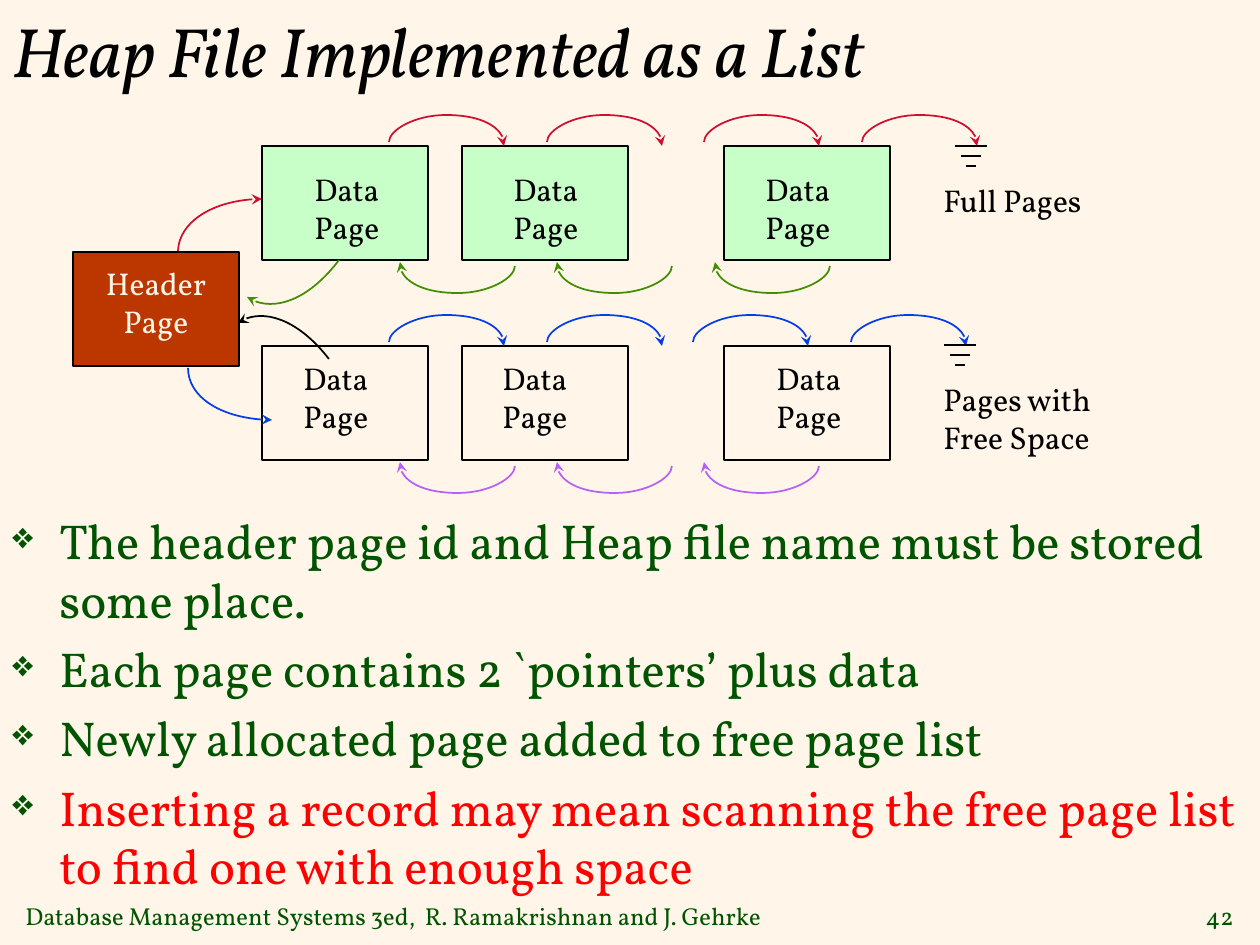
from dataclasses import dataclass

import pptx
import pptx.dml.color
import pptx.enum.shapes
import pptx.enum.text
import pptx.oxml
import pptx.oxml.ns
import pptx.util

PX = 914400 / 126  # EMU per px
FONT = "Vollkorn"
CREAM, BLACK, DARK_GREEN, RED = "FFF6E9", "000000", "005400", "FF0000"
CRIMSON, LEAF, BLUE, VIOLET = "CF0E30", "438E00", "063DE8", "B760F9"
MINT, RUST = "C8FEC8", "BC3700"
LEFT, CENTER, RIGHT = (getattr(pptx.enum.text.PP_ALIGN, name) for name in ("LEFT", "CENTER", "RIGHT"))
TOP, MIDDLE = pptx.enum.text.MSO_ANCHOR.TOP, pptx.enum.text.MSO_ANCHOR.MIDDLE

PAGE_W, PAGE_H = 166, 114
ARC_W, ARC_H = 115, 31
# Start, then three control points for each curve
ARC = [(0, 27), (0, 15), (26, 0), (57, 0), (89, 0), (115, 13), (115, 28),
       (115, 29), (115, 30), (115, 31)]


@dataclass
class Label:
    lines: list[str]
    box: tuple[int, int, int, int]
    size: int = 18
    color: str = BLACK
    align: int = LEFT
    anchor: int = TOP
    italic: bool = False
    wrap: bool = False


@dataclass
class PageList:
    page_top: int
    fill: str | None
    label_top: int
    label_lefts: list[int]
    next_color: str
    next_lefts: list[int]
    next_top: int
    prev_color: str
    prev_lefts: list[int]
    prev_top: int
    ground_center: int
    ground_top: int


def emu(px: float) -> int:
    return round(px * PX)


def rgb(value: str) -> pptx.dml.color.RGBColor:
    return pptx.dml.color.RGBColor.from_string(value)


def set_line(shape, color: str) -> None:
    shape.line.color.rgb = rgb(color)
    shape.line.width = pptx.util.Pt(1)


def add_label(slide, label: Label):
    box = slide.shapes.add_textbox(*map(emu, label.box))
    frame = box.text_frame
    frame.word_wrap = label.wrap
    frame.vertical_anchor = label.anchor
    font_format = {"name": FONT, "size": pptx.util.Pt(label.size), "italic": label.italic}
    for index, line in enumerate(label.lines):
        paragraph = frame.paragraphs[0] if index == 0 else frame.add_paragraph()
        paragraph.alignment = label.align
        run = paragraph.add_run()
        run.text = line
        for attribute, value in font_format.items():
            setattr(run.font, attribute, value)
        run.font.color.rgb = rgb(label.color)
    return frame


def add_page(slide, left: int, top: int, fill: str | None) -> None:
    page = slide.shapes.add_shape(pptx.enum.shapes.MSO_SHAPE.RECTANGLE,
                                  *map(emu, (left, top, PAGE_W, PAGE_H)))
    page.shadow.inherit = False
    if fill:
        page.fill.solid()
        page.fill.fore_color.rgb = rgb(fill)
    else:
        page.fill.background()
    set_line(page, BLACK)


def add_pointer(slide, color: str, points: list[tuple[int, int]]) -> None:
    builder = slide.shapes.build_freeform(*points[0], scale=PX)
    builder.add_line_segments(points[1:], close=False)
    pointer = builder.convert_to_shape()
    pointer.shadow.inherit = False
    pointer.fill.background()
    set_line(pointer, color)
    # Turn every three line segments into one cubic curve
    segments = pointer._element.findall(".//" + pptx.oxml.ns.qn("a:lnTo"))
    for first in range(0, len(segments), 3):
        curve = pptx.oxml.parse_xml(f"<a:cubicBezTo {pptx.oxml.ns.nsdecls('a')}/>")
        segments[first].addprevious(curve)
        for segment in segments[first:first + 3]:
            curve.append(segment[0])
            segment.getparent().remove(segment)
    pointer.line._get_or_add_ln().append(
        pptx.oxml.parse_xml(f'<a:tailEnd {pptx.oxml.ns.nsdecls("a")} type="stealth"/>'))


def add_ground(slide, center: int, top: int) -> None:
    for row, half in enumerate((16, 10, 5)):
        y = top + 10 * row
        bar = slide.shapes.add_connector(pptx.enum.shapes.MSO_CONNECTOR.STRAIGHT,
                                         *map(emu, (center - half, y, center + half, y)))
        set_line(bar, BLACK)
        bar._element.spPr.append(
            pptx.oxml.parse_xml(f"<a:effectLst {pptx.oxml.ns.nsdecls('a')}/>"))


def add_page_list(slide, pages: PageList) -> None:
    for left, label_left in zip((262, 462, 724), pages.label_lefts):
        add_page(slide, left, pages.page_top, pages.fill)
        add_label(slide, Label(["Data", "Page"], (label_left, pages.label_top, 92, 88)))
    for left in pages.next_lefts:
        add_pointer(slide, pages.next_color, [(left + x, pages.next_top + y) for x, y in ARC])
    for left in pages.prev_lefts:
        add_pointer(slide, pages.prev_color,
                    [(left + ARC_W - x, pages.prev_top + ARC_H - y) for x, y in ARC])
    add_ground(slide, pages.ground_center, pages.ground_top)


def add_bullets(frame) -> None:
    for index, paragraph in enumerate(frame.paragraphs):
        properties = paragraph._p.get_or_add_pPr()
        properties.set("marL", str(emu(47)))
        properties.set("indent", str(-emu(47)))
        for tag, content in (("buClr", f'><a:srgbClr val="{DARK_GREEN}"/></a:buClr>'),
                             ("buSzPct", ' val="75000"/>'),
                             ("buChar", ' char="❖"/>')):
            properties.append(pptx.oxml.parse_xml(
                f"<a:{tag} {pptx.oxml.ns.nsdecls('a')}{content}"))
        if index:
            paragraph.space_before = pptx.util.Pt(6)


def main() -> None:
    deck = pptx.Presentation()
    deck.slide_width, deck.slide_height = emu(1260), emu(945)
    slide = deck.slides.add_slide(deck.slide_layouts[6])
    slide.background.fill.solid()
    slide.background.fill.fore_color.rgb = rgb(CREAM)

    # Footer and title
    add_label(slide, Label(["Database Management Systems 3ed,  R. Ramakrishnan and J. Gehrke"],
                           (13, 895, 772, 42), 14, DARK_GREEN, anchor=MIDDLE))
    add_label(slide, Label(["42"], (1191, 895, 55, 42), 14, DARK_GREEN, RIGHT, MIDDLE))
    add_label(slide, Label(["Heap File Implemented as a List"], (0, -26, 1071, 152), 40,
                           anchor=MIDDLE, italic=True, wrap=True))

    # Key points
    points = add_label(slide, Label([
        "The header page id and Heap file name must be stored some place.",
        "Each page contains 2 `pointers’ plus data",
        "Newly allocated page added to free page list",
        "Inserting a record may mean scanning the free page list to find one with enough space",
    ], (0, 504, 1260, 158), 28, DARK_GREEN, wrap=True))
    add_bullets(points)
    points.paragraphs[-1].runs[0].font.color.rgb = rgb(RED)

    # Header page
    add_page(slide, 73, 252, RUST)
    add_label(slide, Label(["Header", "Page"], (92, 258, 128, 88), color=CREAM, align=CENTER))

    # Full pages, then pages with free space
    add_page_list(slide, PageList(146, MINT, 164, [302, 501, 753],
                                  CRIMSON, [389, 547, 704, 862], 115,
                                  LEAF, [400, 557, 715], 262, 971, 146))
    add_page_list(slide, PageList(346, None, 353, [291, 490, 764],
                                  BLUE, [389, 547, 693, 851], 315,
                                  VIOLET, [400, 557, 704], 462, 960, 345))
    add_label(slide, Label(["Full Pages"], (931, 175, 169, 50)))
    add_label(slide, Label(["Pages with", "Free Space"], (931, 374, 178, 88)))

    # Pointers between the header page and both lists
    for color, curve in (
        (CRIMSON, [(178, 251), (179, 223), (215, 199), (262, 199)]),
        (LEAF, [(339, 260), (311, 297), (271, 314), (247, 297)]),
        (BLACK, [(329, 359), (301, 323), (261, 306), (238, 323)]),
        (BLUE, [(188, 368), (188, 397), (225, 420), (272, 420)]),
    ):
        add_pointer(slide, color, curve)

    deck.save("out.pptx")


if __name__ == "__main__":
    main()
